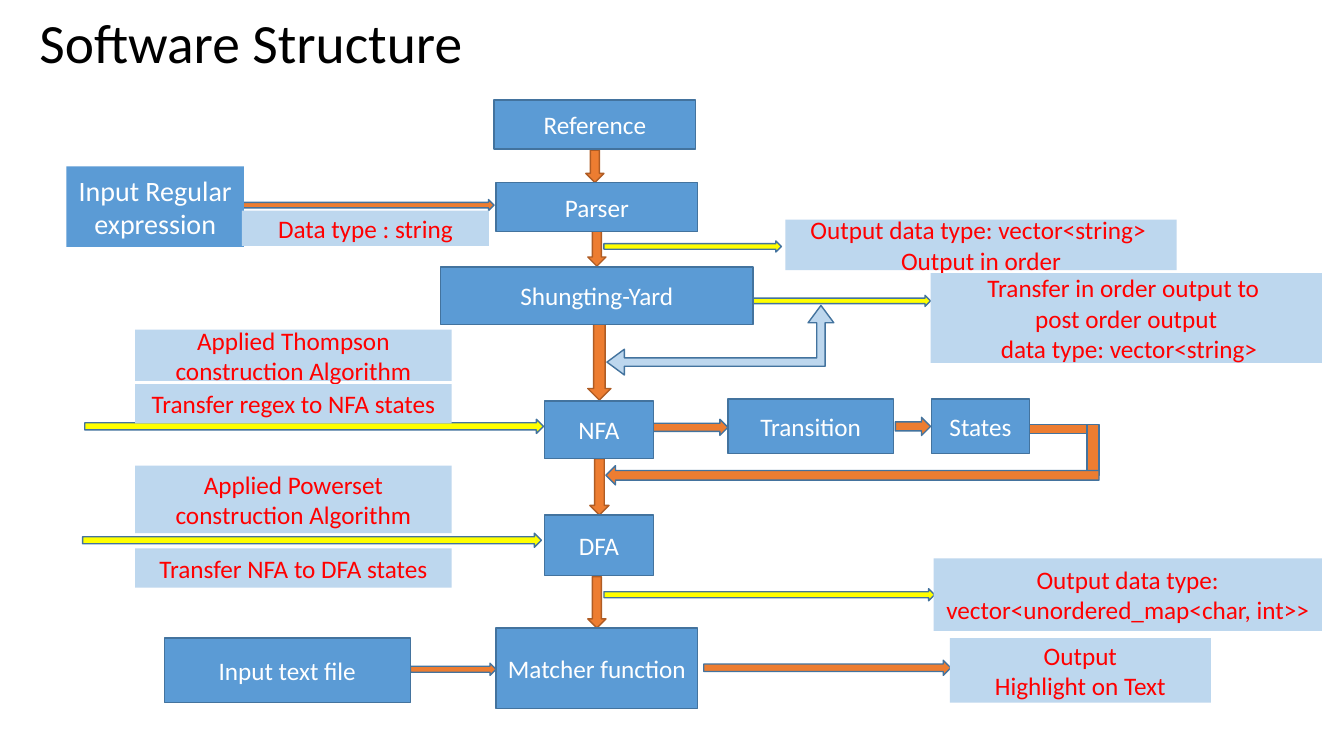
import pptx
import pptx.util
import pptx.dml.color
import pptx.enum.shapes
import pptx.enum.text

Inches, Pt = pptx.util.Inches, pptx.util.Pt
KIND = pptx.enum.shapes.MSO_SHAPE
ALIGN = pptx.enum.text.PP_ALIGN
MIDDLE = pptx.enum.text.MSO_ANCHOR.MIDDLE
FONT = "Calibri"
BLUE, PALE, ORANGE, YELLOW = "5B9BD5", "BDD7EE", "ED7D31", "FFFF00"
EDGE, BROWN, WHITE, RED, BLACK = "43739E", "AF5C24", "FFFFFF", "FF0000", "000000"

# Content: text, then left, top, width, height in inches
TITLE = "Software Structure"
INPUT_REGEX = ("Input Regular \nexpression", 0.66, 1.65, 1.76, 0.8)
STEPS = [
    ("Reference", 4.9, 0.99, 2, 0.49),
    ("Parser", 4.92, 1.81, 2, 0.49),
    ("Shungting-Yard", 4.37, 2.65, 3.1, 0.57),
    ("NFA", 5.4, 3.98, 1.08, 0.57),
    ("Transition", 7.22, 3.96, 1.64, 0.54),
    ("States", 9.24, 3.96, 0.97, 0.54),
    ("DFA", 5.4, 5.11, 1.08, 0.6),
    ("Matcher function", 4.92, 6.23, 2, 0.8),
    ("Input text file", 1.63, 6.33, 2.44, 0.64),
]
NOTES = [
    ("Data type : string", 2.4, 2.09, 2.45, 0.35),
    ("Output data type: vector<string> \nOutput in order", 7.79, 2.18, 3.88, 0.5),
    ("Transfer in order output to \npost order output\n data type: vector<string>",
     9.23, 2.71, 3.88, 0.89),
    ("Applied Thompson construction Algorithm", 1.34, 3.27, 3.14, 0.51),
    ("Transfer regex to NFA states", 1.34, 3.81, 3.14, 0.39),
    ("Applied Powerset construction Algorithm", 1.34, 4.62, 3.14, 0.67),
    ("Transfer NFA to DFA states", 1.34, 5.44, 3.14, 0.39),
    ("Output data type:\nvector<unordered_map<char, int>>", 9.26, 5.54, 3.85, 0.72),
    ("Output\nHighlight on Text", 9.42, 6.33, 2.59, 0.64),
]

# Block arrows: left, top, width, height
DOWN_FLOW = [
    (5.81, 1.49, 0.18, 0.32), (5.83, 2.29, 0.18, 0.35), (5.83, 3.21, 0.23, 0.76),
    (5.85, 4.55, 0.19, 0.56), (5.83, 5.72, 0.18, 0.51),
]
RIGHT_FLOW = [
    (2.4, 1.98, 2.5, 0.11), (6.48, 4.16, 0.74, 0.16), (8.88, 4.14, 0.35, 0.18),
    (4.07, 6.58, 0.85, 0.12), (6.98, 6.55, 2.45, 0.15),
]
NOTE_ARROWS = [
    (5.99, 2.39, 1.76, 0.11), (7.47, 2.93, 1.76, 0.11), (0.84, 4.16, 4.55, 0.14),
    (0.82, 5.29, 4.55, 0.14), (5.99, 5.84, 3.28, 0.12),
]
RETURN_BARS = [(10.21, 4.21, 0.57, 0.09), (10.78, 4.21, 0.12, 0.51)]
RETURN_ARROW = (6.01, 4.62, 4.89, 0.19)
BENT_ARROW, BENT_ADJUST = (6.02, 3.03, 2.25, 0.69), (0.12, 0.185, 0.25)


def rgb(color):
    return pptx.dml.color.RGBColor.from_string(color)


def write(tf, text, size, color, align):
    tf.text = text
    tf.word_wrap = True
    tf.vertical_anchor = MIDDLE
    for p in tf.paragraphs:
        p.alignment = align
        for r in p.runs:
            r.font.name, r.font.size = FONT, Pt(size)
            r.font.color.rgb = rgb(color)


def add_part(kind, box, fill, line=EDGE):
    sp = slide.shapes.add_shape(kind, *map(Inches, box))
    sp.shadow.inherit = False
    sp.fill.solid()
    sp.fill.fore_color.rgb = rgb(fill)
    if line:
        sp.line.color.rgb = rgb(line)
        sp.line.width = Pt(1)
    else:
        sp.line.fill.background()
    return sp


def add_box(item, fill, line, color, size=18):
    text, *box = item
    sp = add_part(KIND.RECTANGLE, box, fill, line)
    write(sp.text_frame, text, size, color, ALIGN.CENTER)


prs = pptx.Presentation()
prs.slide_width, prs.slide_height = Inches(13.33), Inches(7.5)
slide = prs.slides.add_slide(prs.slide_layouts[5])

# Title
title = slide.shapes.title
title.left, title.top, title.width, title.height = map(Inches, (0.29, 0.1, 11.5, 0.71))
write(title.text_frame, TITLE, 39.6, BLACK, ALIGN.LEFT)
title.text_frame.paragraphs[0].line_spacing = 0.9

# Arrows lie beneath the boxes
for kind, boxes, fill, line in [
    (KIND.DOWN_ARROW, DOWN_FLOW, ORANGE, BROWN),
    (KIND.RIGHT_ARROW, RIGHT_FLOW, ORANGE, EDGE),
    (KIND.RIGHT_ARROW, NOTE_ARROWS, YELLOW, EDGE),
    (KIND.RECTANGLE, RETURN_BARS, ORANGE, EDGE),
    (KIND.LEFT_ARROW, [RETURN_ARROW], ORANGE, EDGE),
]:
    for box in boxes:
        add_part(kind, box, fill, line)

bent = add_part(KIND.LEFT_UP_ARROW, BENT_ARROW, PALE)
for i, value in enumerate(BENT_ADJUST):
    bent.adjustments[i] = value

# Steps, then notes on top
add_box(INPUT_REGEX, BLUE, None, WHITE, size=20)
for step in STEPS:
    add_box(step, BLUE, EDGE, WHITE)
for note in NOTES:
    add_box(note, PALE, None, RED)

prs.save("out.pptx")
